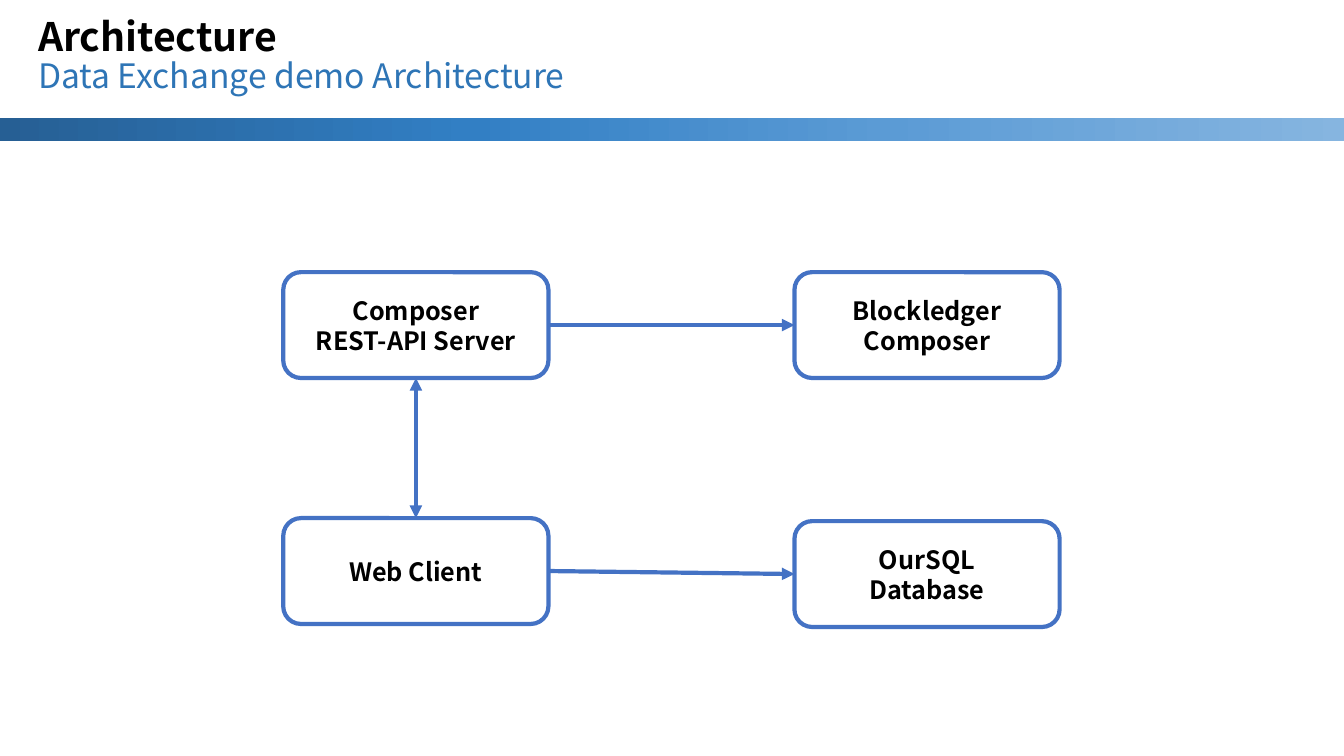
from lxml import etree
from pptx import Presentation
from pptx.dml.color import RGBColor
from pptx.enum.shapes import MSO_CONNECTOR as CONN, MSO_SHAPE as SHAPE
from pptx.enum.text import MSO_ANCHOR as ANCHOR, PP_ALIGN as ALIGN
from pptx.oxml.ns import qn
from pptx.util import Inches, Pt

FONT = "Noto Sans CJK KR"
BLUE = "4472C4"
TOP, LEFT, BOTTOM, RIGHT = range(4)


def color(value):
    return RGBColor.from_string(value)


def add_run(p, text, size, value, bold):
    r = p.add_run()
    r.text = text
    r.font.name = FONT
    r.font.size = Pt(size)
    r.font.bold = bold
    r.font.color.rgb = color(value)


def add_heading(slide, x, y, w, h, title, subtitle):
    tf = slide.shapes.add_textbox(Inches(x), Inches(y), Inches(w), Inches(h)).text_frame
    tf.word_wrap = True
    tf.vertical_anchor = ANCHOR.MIDDLE
    p = tf.paragraphs[0]
    p.line_spacing = 0.9
    add_run(p, title, 28, "000000", True)
    p.add_line_break()
    add_run(p, subtitle, 24, "2E75B6", False)


def add_band(slide, x, y, w, h, stops):
    sp = slide.shapes.add_shape(SHAPE.RECTANGLE, Inches(x), Inches(y), Inches(w), Inches(h))
    sp.shadow.inherit = False
    sp.line.fill.background()
    sp.fill.gradient()
    sp.fill.gradient_angle = 0
    gs_list = sp.fill._fill._gradFill.find(qn("a:gsLst"))
    for gs in list(gs_list):
        gs_list.remove(gs)
    for position, value in stops:
        gs = etree.SubElement(gs_list, qn("a:gs"), pos=str(position * 1000))
        etree.SubElement(gs, qn("a:srgbClr"), val=value)


def add_node(slide, x, y, w, h, lines):
    sp = slide.shapes.add_shape(SHAPE.ROUNDED_RECTANGLE, Inches(x), Inches(y), Inches(w), Inches(h))
    sp.shadow.inherit = False
    sp.fill.solid()
    sp.fill.fore_color.rgb = color("FFFFFF")
    sp.line.color.rgb = color(BLUE)
    sp.line.width = Pt(3)
    tf = sp.text_frame
    tf.word_wrap = True
    tf.vertical_anchor = ANCHOR.MIDDLE
    for i, text in enumerate(lines):
        p = tf.add_paragraph() if i else tf.paragraphs[0]
        p.alignment = ALIGN.CENTER
        add_run(p, text, 18, "000000", True)
    return sp


def add_arrow(slide, start, start_side, end, end_side, ends=("tailEnd",)):
    cxn = slide.shapes.add_connector(CONN.STRAIGHT, 0, 0, 0, 0)
    cxn.begin_connect(start, start_side)
    cxn.end_connect(end, end_side)
    cxn.line.color.rgb = color(BLUE)
    cxn.line.width = Pt(3)
    ln = cxn.line._get_or_add_ln()
    for end_tag in ends:
        etree.SubElement(ln, qn("a:" + end_tag), type="triangle")
    etree.SubElement(cxn._element.spPr, qn("a:effectLst"))


def add_diagram(slide, x, y, w, h):
    node_w, node_h = 2.63, 1.05
    right = x + w - node_w
    low = y + h - node_h
    ledger = add_node(slide, right, y, node_w, node_h, ["Blockledger", "Composer"])
    server = add_node(slide, x, y, node_w, node_h, ["Composer", "REST-API Server"])
    client = add_node(slide, x, low - 0.03, node_w, node_h, ["Web Client"])
    database = add_node(slide, right, low, node_w, node_h, ["OurSQL", "Database"])
    add_arrow(slide, server, RIGHT, ledger, LEFT)
    add_arrow(slide, client, RIGHT, database, LEFT)
    add_arrow(slide, server, BOTTOM, client, TOP, ("headEnd", "tailEnd"))


def main():
    prs = Presentation()
    prs.slide_width = Inches(13.33)
    prs.slide_height = Inches(7.5)
    slide = prs.slides.add_slide(prs.slide_layouts[6])
    add_heading(slide, 0.28, -0.01, 11.5, 1.14, "Architecture", "Data Exchange demo Architecture")
    add_band(slide, 0, 1.17, 13.33, 0.23,
             [(0, "265F94"), (35, "327FC4"), (66, "5B9BD5"), (100, "86B5E0")])
    add_diagram(slide, 2.81, 2.7, 7.7, 3.52)
    prs.save("out.pptx")


if __name__ == "__main__":
    main()
